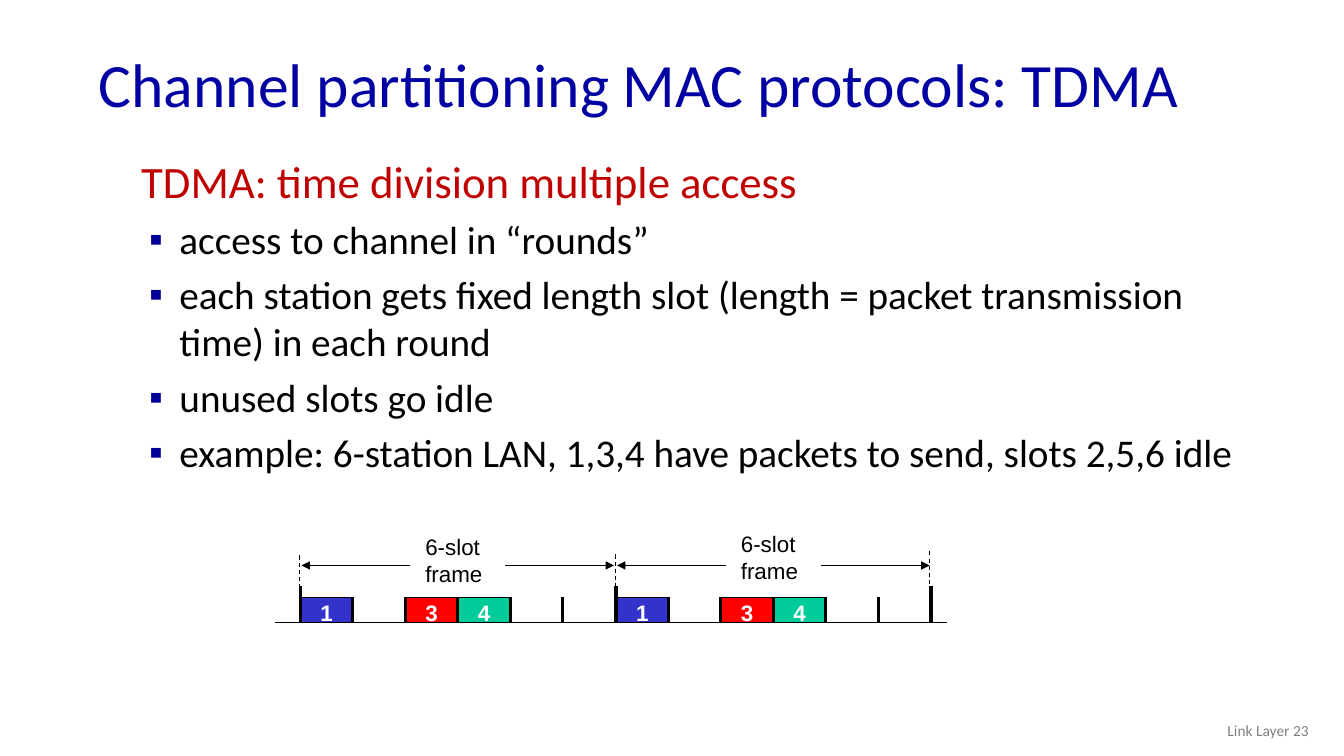
"""Build the TDMA slide with its timeline of two six-slot frames."""
import dataclasses
import typing

import pptx
import pptx.dml.color
import pptx.enum.dml
import pptx.enum.shapes
import pptx.enum.text
import pptx.oxml
import pptx.oxml.ns
import pptx.util

EMU_PER_PX = 9144
COLOURS = {
    "title": "0000A3",
    "heading": "C00000",
    "bullet": "000099",
    "black": "000000",
    "white": "FFFFFF",
    "grey": "808080",
    "station1": "3333CC",
    "station3": "FF0000",
    "station4": "00CC99",
}
HEADING = "TDMA: time division multiple access"
POINTS = [
    "access to channel in “rounds”",
    "each station gets fixed length slot (length = packet transmission time) in each round",
    "unused slots go idle",
    "example: 6-station LAN, 1,3,4 have packets to send, slots 2,5,6 idle",
]
TIMELINE_LEFT = 298
SLOT_PITCH = 52.1
SLOTS_PER_FRAME = 6
SLOT_TOP = 593
BASELINE = 618
ARROW_Y = 561
SENDING_STATIONS = (1, 3, 4)


@dataclasses.dataclass(frozen=True)
class Box:
    """A rectangle on the slide in px."""

    left: int
    top: int
    width: int
    height: int

    def emu(self) -> list[int]:
        """Return the four lengths in EMU."""
        return [length * EMU_PER_PX for length in dataclasses.astuple(self)]


@dataclasses.dataclass(frozen=True)
class Line:
    """A straight line in px with its style."""

    start_x: int
    start_y: int
    end_x: int
    end_y: int
    weight: float = 0.75
    dashed: bool = False
    arrow: bool = False


@dataclasses.dataclass(frozen=True)
class Frame:
    """One six-slot frame of the timeline."""

    first_slot: int
    label_top: int
    dash_top: int


FRAMES = [Frame(0, 524, 551), Frame(6, 521, 550)]


def set_attributes(target: typing.Any, values: dict[str, typing.Any]) -> None:
    """Set every attribute named in values on target."""
    for name, value in values.items():
        setattr(target, name, value)


def add_xml(parent: typing.Any, markup: str) -> None:
    """Append one DrawingML element to parent."""
    tag, separator, rest = markup.partition(" ")
    namespace = pptx.oxml.ns.nsdecls("a")
    parent.append(pptx.oxml.parse_xml(f"<a:{tag} {namespace} {rest}/>"))


def colour(name: str) -> pptx.dml.color.RGBColor:
    """Look up a named colour."""
    return pptx.dml.color.RGBColor.from_string(COLOURS[name])


def write(paragraph: typing.Any, text: str, size: int, ink: str,
          font: str = "Calibri", bold: bool = False) -> None:
    """Add one formatted run to a paragraph."""
    run = paragraph.add_run()
    run.text = text
    set_attributes(run.font, {"size": pptx.util.Pt(size), "name": font, "bold": bold})
    run.font.color.rgb = colour(ink)


def place(shape: typing.Any, box: Box) -> None:
    """Move and size a shape."""
    set_attributes(shape, dict(zip(("left", "top", "width", "height"), box.emu())))


def slot_edge(index: int) -> int:
    """Return the x position of a slot boundary."""
    return TIMELINE_LEFT + round(index * SLOT_PITCH)


def draw_line(shapes: typing.Any, line: Line) -> None:
    """Draw a black line."""
    ends = (line.start_x, line.start_y, line.end_x, line.end_y)
    connector = shapes.add_connector(
        pptx.enum.shapes.MSO_CONNECTOR.STRAIGHT, *(end * EMU_PER_PX for end in ends))
    connector.line.width = pptx.util.Pt(line.weight)
    connector.line.color.rgb = colour("black")
    if line.dashed:
        connector.line.dash_style = pptx.enum.dml.MSO_LINE.DASH
    if line.arrow:
        add_xml(connector.line._get_or_add_ln(), 'tailEnd type="triangle"')
    add_xml(connector._element.spPr, "effectLst")


def draw_label(shapes: typing.Any, box: Box, lines: list[str], ink: str, bold: bool) -> None:
    """Draw an unwrapped timeline label."""
    text_frame = shapes.add_textbox(*box.emu()).text_frame
    set_attributes(text_frame, {
        "word_wrap": False, "auto_size": pptx.enum.text.MSO_AUTO_SIZE.SHAPE_TO_FIT_TEXT})
    for index, text in enumerate(lines):
        paragraph = text_frame.add_paragraph() if index else text_frame.paragraphs[0]
        write(paragraph, text, 16, ink, "Arial", bold)


def draw_packet(shapes: typing.Any, left: int, width: int, station: int) -> None:
    """Draw a filled slot with its station number."""
    box = Box(left, SLOT_TOP, width, BASELINE - SLOT_TOP)
    packet = shapes.add_shape(pptx.enum.shapes.MSO_SHAPE.RECTANGLE, *box.emu())
    packet.shadow.inherit = False
    packet.fill.solid()
    packet.fill.fore_color.rgb = colour(f"station{station}")
    packet.line.color.rgb = colour("black")
    packet.line.width = pptx.util.Pt(0.75)
    draw_label(shapes, Box(left + 10, 589, 32, 37), [str(station)], "white", True)


def draw_frame(shapes: typing.Any, frame: Frame) -> None:
    """Draw the packets, label and span arrows of one frame."""
    left = slot_edge(frame.first_slot)
    for station in SENDING_STATIONS:
        slot = frame.first_slot + station - 1
        draw_packet(shapes, slot_edge(slot), slot_edge(slot + 1) - slot_edge(slot), station)
    draw_label(shapes, Box(left + 114, frame.label_top, 77, 64), ["6-slot", "frame"], "black", False)
    for start, end in ((203, 311), (109, 1)):
        draw_line(shapes, Line(left + start, ARROW_Y, left + end, ARROW_Y, arrow=True))
    draw_line(shapes, Line(left - 1, frame.dash_top, left - 1, frame.dash_top + 33, dashed=True))


def draw_timeline(shapes: typing.Any) -> None:
    """Draw the time axis, both frames and all slot boundaries."""
    draw_line(shapes, Line(273, BASELINE, 939, BASELINE))
    for frame in FRAMES:
        draw_frame(shapes, frame)
    slot_count = SLOTS_PER_FRAME * len(FRAMES)
    for index in range(slot_count + 1):
        x = slot_edge(index)
        boundary = index % SLOTS_PER_FRAME == 0
        weight = 3 if boundary and index else 2.25
        draw_line(shapes, Line(x, 581 if boundary else 592, x, BASELINE, weight))
    end = slot_edge(slot_count) - 1
    draw_line(shapes, Line(end, 547, end, 580, dashed=True))


def fill_body(body: typing.Any) -> None:
    """Write the heading and the bulleted points."""
    place(body, Box(130, 160, 1119, 320))
    body.text_frame.auto_size = pptx.enum.text.MSO_AUTO_SIZE.NONE
    for index, text in enumerate([HEADING, *POINTS]):
        paragraph = body.text_frame.add_paragraph() if index else body.text_frame.paragraphs[0]
        set_attributes(paragraph, {
            "space_before": pptx.util.Pt(6), "line_spacing": 1.0 if index else 0.75})
        properties = paragraph._p.get_or_add_pPr()
        properties.set("marL", str(38 * EMU_PER_PX))
        properties.set("indent", str((-30 if index else -38) * EMU_PER_PX))
        if index:
            bullet = pptx.oxml.parse_xml(
                f'<a:buClr {pptx.oxml.ns.nsdecls("a")}><a:srgbClr val="{COLOURS["bullet"]}"/></a:buClr>')
            properties.append(bullet)
            add_xml(properties, 'buFont typeface="Arial"')
            add_xml(properties, 'buChar char="▪"')
            write(paragraph, text, 28, "black")
        else:
            add_xml(properties, "buNone")
            write(paragraph, text, 32, "heading")


def main() -> None:
    """Build and save the presentation."""
    presentation = pptx.Presentation()
    set_attributes(presentation, {
        "slide_width": 1333 * EMU_PER_PX, "slide_height": 750 * EMU_PER_PX})
    slide = presentation.slides.add_slide(presentation.slide_layouts[1])
    middle = pptx.enum.text.MSO_ANCHOR.MIDDLE
    title = slide.shapes.title
    place(title, Box(88, 38, 1150, 98))
    set_attributes(title.text_frame, {
        "vertical_anchor": middle, "auto_size": pptx.enum.text.MSO_AUTO_SIZE.NONE})
    heading = title.text_frame.paragraphs[0]
    set_attributes(heading, {"alignment": pptx.enum.text.PP_ALIGN.LEFT, "line_spacing": 0.9})
    write(heading, "Channel partitioning MAC protocols: TDMA", 44, "title")
    fill_body(slide.placeholders[1])
    draw_timeline(slide.shapes.add_group_shape().shapes)
    footer = slide.shapes.add_textbox(*Box(1008, 705, 300, 40).emu()).text_frame
    set_attributes(footer, {"word_wrap": True, "vertical_anchor": middle})
    footer.paragraphs[0].alignment = pptx.enum.text.PP_ALIGN.RIGHT
    write(footer.paragraphs[0], "Link Layer 23", 11, "grey")
    presentation.save("out.pptx")


if __name__ == "__main__":
    main()
